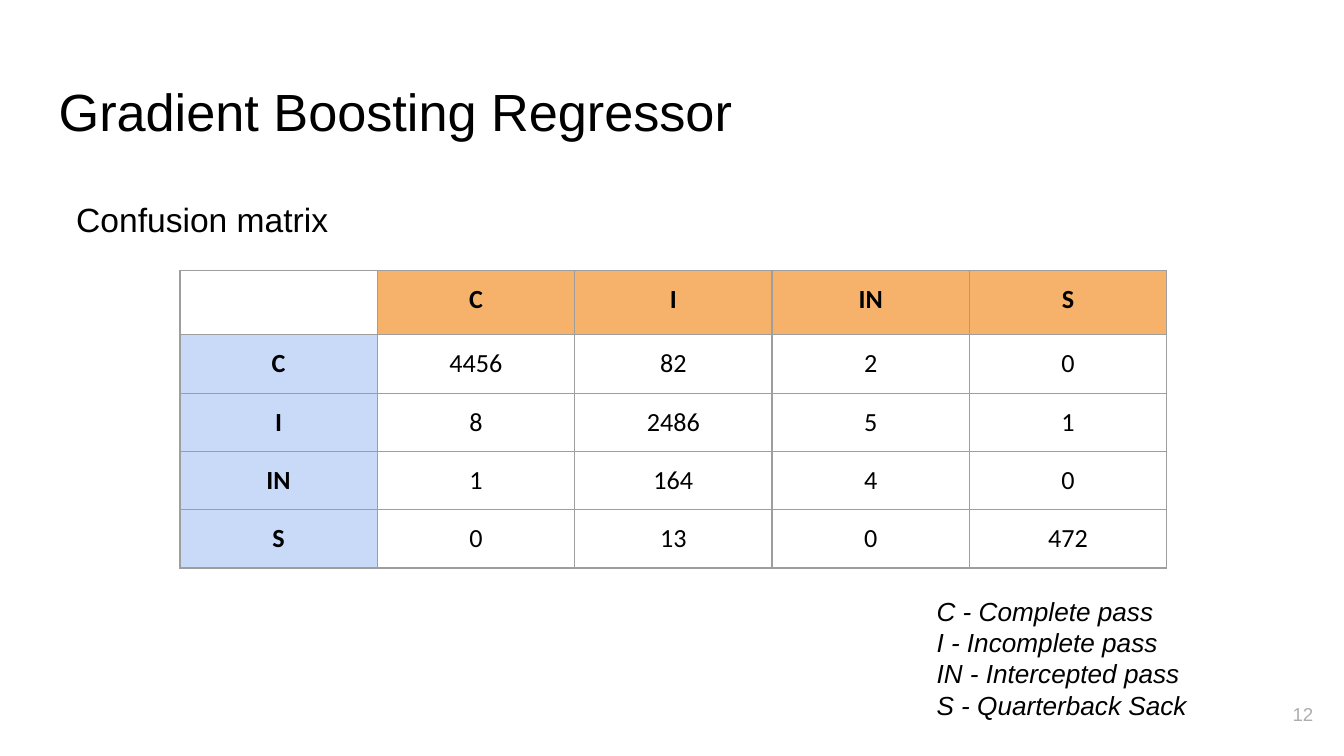
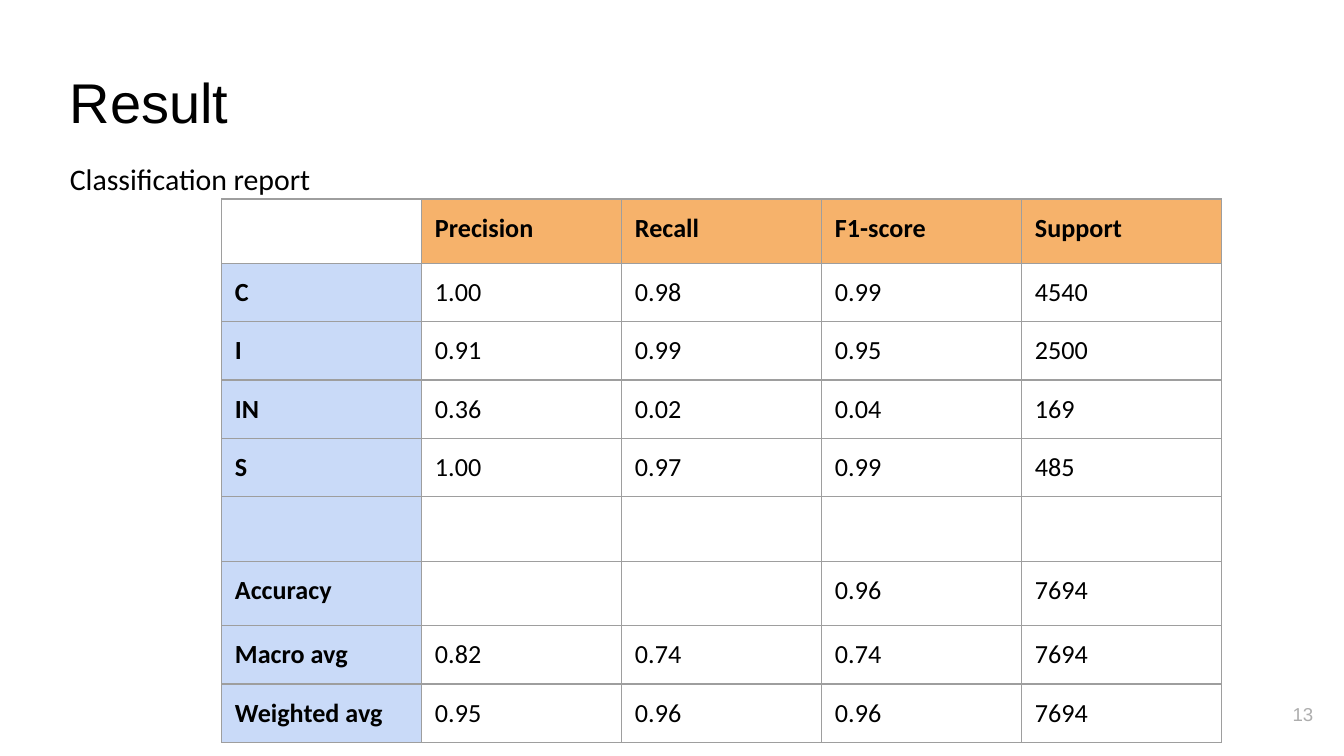
"""Build two slides that report the results of a gradient boosting model."""
import dataclasses

import pptx
import pptx.dml.color
import pptx.enum.text
import pptx.oxml
import pptx.oxml.ns
import pptx.util

Cm = pptx.util.Cm
Pt = pptx.util.Pt
ALIGN = pptx.enum.text.PP_ALIGN
ANCHOR = pptx.enum.text.MSO_ANCHOR


@dataclasses.dataclass(frozen=True)
class Theme:
    ink: str = "000000"
    muted: str = "ADADAD"
    paper: str = "FFFFFF"
    grid: str = "9E9E9E"
    column_head: str = "F6B26B"
    row_head: str = "C9DAF8"
    sans: str = "Arial"
    table_font: str = "Calibri"
    small: int = 10
    text: int = 14
    grid_width: float = 0.75
    inset: float = 0.25
    row: float = 1.07
    tall_row: float = 1.22


THEME = Theme()
SLIDE_SIZE = (25.4, 14.29)
NUMBER_AREA = (23.55, 12.95, 1.52, 1.09)

PAGES = [
    {
        "number": "12",
        "title": ("Gradient Boosting Regressor", (0.86, 1.24, 23.67, 1.6), 28, THEME.sans),
        "subtitle": ("Confusion matrix", (1.19, 3.4, 6.45, 1.47), 18, THEME.sans),
        "table_at": (3.4, 5.11),
        "column_width": 3.73,
        "align": ALIGN.CENTER,
        "rows": [
            ("", "C", "I", "IN", "S"),
            ("C", "4456", "82", "2", "0"),
            ("I", "8", "2486", "5", "1"),
            ("IN", "1", "164", "4", "0"),
            ("S", "0", "13", "0", "472"),
        ],
        "legend": [
            "C - Complete pass",
            "I - Incomplete pass",
            "IN - Intercepted pass",
            "S - Quarterback Sack",
        ],
        "legend_area": (17.45, 11.0, 5.33, 2.9),
    },
    {
        "number": "13",
        "title": ("Result", (1.07, 1.02, 23.67, 1.6), 30, THEME.sans),
        "subtitle": ("Classification report", (1.07, 2.69, 6.93, 1.22), 16, THEME.table_font),
        "table_at": (4.19, 3.76),
        "column_width": 3.78,
        "align": ALIGN.LEFT,
        "rows": [
            ("", "Precision", "Recall", "F1-score", "Support"),
            ("C", "1.00", "0.98", "0.99", "4540"),
            ("I", "0.91", "0.99", "0.95", "2500"),
            ("IN", "0.36", "0.02", "0.04", "169"),
            ("S", "1.00", "0.97", "0.99", "485"),
            ("", "", "", "", ""),
            ("Accuracy", "", "", "0.96", "7694"),
            ("Macro avg", "0.82", "0.74", "0.74", "7694"),
            ("Weighted avg", "0.95", "0.96", "0.96", "7694"),
        ],
    },
]


def rgb(value):
    """Return a colour object for a hex value."""
    return pptx.dml.color.RGBColor.from_string(value)


def style_text(frame, size, font, color=THEME.ink, align=ALIGN.LEFT, bold=False, italic=False):
    """Align every paragraph and format its spans."""
    for para in frame.paragraphs:
        para.alignment = align
        for span in para.runs:
            span.font.size = Pt(size)
            span.font.name = font
            span.font.bold = bold
            span.font.italic = italic
            span.font.color.rgb = rgb(color)


def set_insets(holder):
    """Give a text frame or a cell the common inner margins."""
    for side in ("left", "right", "top", "bottom"):
        setattr(holder, f"margin_{side}", Cm(THEME.inset))


def place(box, area):
    """Move and size a box."""
    box.left, box.top, box.width, box.height = map(Cm, area)


def write_text(box, text, area, size, font, anchor=ANCHOR.TOP, **style):
    """Place a box and fill it with formatted text."""
    place(box, area)
    frame = box.text_frame
    frame.text = text
    frame.word_wrap = True
    frame.auto_size = pptx.enum.text.MSO_AUTO_SIZE.NONE
    frame.vertical_anchor = anchor
    set_insets(frame)
    style_text(frame, size, font, **style)


def add_text(page, text, area, size, font, **style):
    """Add a new text box."""
    box = page.shapes.add_textbox(*map(Cm, area))
    write_text(box, text, area, size, font, **style)


def write_subtitle(box, subtitle):
    """Fill the body placeholder with one line without a bullet."""
    write_text(box, *subtitle)
    para = box.text_frame.paragraphs[0]
    para.line_spacing = 1.15
    para.space_before = Pt(0)
    para.space_after = Pt(16)
    props = para._p.get_or_add_pPr()
    props.set("marL", "0")
    props.set("indent", "0")
    props.append(pptx.oxml.parse_xml(f"<a:buNone {pptx.oxml.ns.nsdecls('a')}/>"))


def add_borders(cell):
    """Draw the grid line on all four sides of a cell."""
    props = cell._tc.get_or_add_tcPr()
    for index, side in enumerate(("lnL", "lnR", "lnT", "lnB")):
        props.insert(index, pptx.oxml.parse_xml(
            f'<a:{side} {pptx.oxml.ns.nsdecls("a")} w="{Pt(THEME.grid_width)}">'
            f'<a:solidFill><a:srgbClr val="{THEME.grid}"/></a:solidFill></a:{side}>'))


def fill_cell(cell, text, row, column, align):
    """Write one cell and colour it by its role."""
    cell.text = text
    set_insets(cell)
    is_head = row == 0 or column == 0
    style_text(cell.text_frame, THEME.text, THEME.table_font, align=align, bold=is_head)
    if not text:
        end = cell.text_frame.paragraphs[0]._p.get_or_add_endParaRPr()
        end.set("sz", str(THEME.text * 100))
    if row == column == 0 or not is_head:
        cell.fill.background()
    else:
        cell.fill.solid()
        cell.fill.fore_color.rgb = rgb(THEME.column_head if row == 0 else THEME.row_head)
    add_borders(cell)


def add_matrix(page, rows, corner, column_width, align):
    """Add a table with a header row and a header column."""
    heights = [THEME.tall_row if "" in row else THEME.row for row in rows]
    size = (column_width * len(rows[0]), sum(heights))
    table = page.shapes.add_table(len(rows), len(rows[0]), *map(Cm, corner + size)).table
    table.first_row = table.horz_banding = False
    for column in table.columns:
        column.width = Cm(column_width)
    for row, (values, height) in enumerate(zip(rows, heights)):
        table.rows[row].height = Cm(height)
        for column, text in enumerate(values):
            fill_cell(table.cell(row, column), text, row, column, align)


def build_page(deck, content):
    """Add one slide."""
    page = deck.slides.add_slide(deck.slide_layouts[1])
    page.background.fill.solid()
    page.background.fill.fore_color.rgb = rgb(THEME.paper)
    write_text(page.shapes.title, *content["title"])
    write_subtitle(page.placeholders[1], content["subtitle"])
    add_matrix(page, content["rows"], content["table_at"], content["column_width"], content["align"])
    if "legend" in content:
        add_text(page, "\n".join(content["legend"]), content["legend_area"],
                 THEME.text, THEME.sans, italic=True)
    add_text(page, content["number"], NUMBER_AREA, THEME.small, THEME.sans,
             color=THEME.muted, align=ALIGN.RIGHT, anchor=ANCHOR.MIDDLE)


def main():
    """Build and save the deck."""
    deck = pptx.Presentation()
    deck.slide_width, deck.slide_height = map(Cm, SLIDE_SIZE)
    for content in PAGES:
        build_page(deck, content)
    deck.save("out.pptx")


if __name__ == "__main__":
    main()
